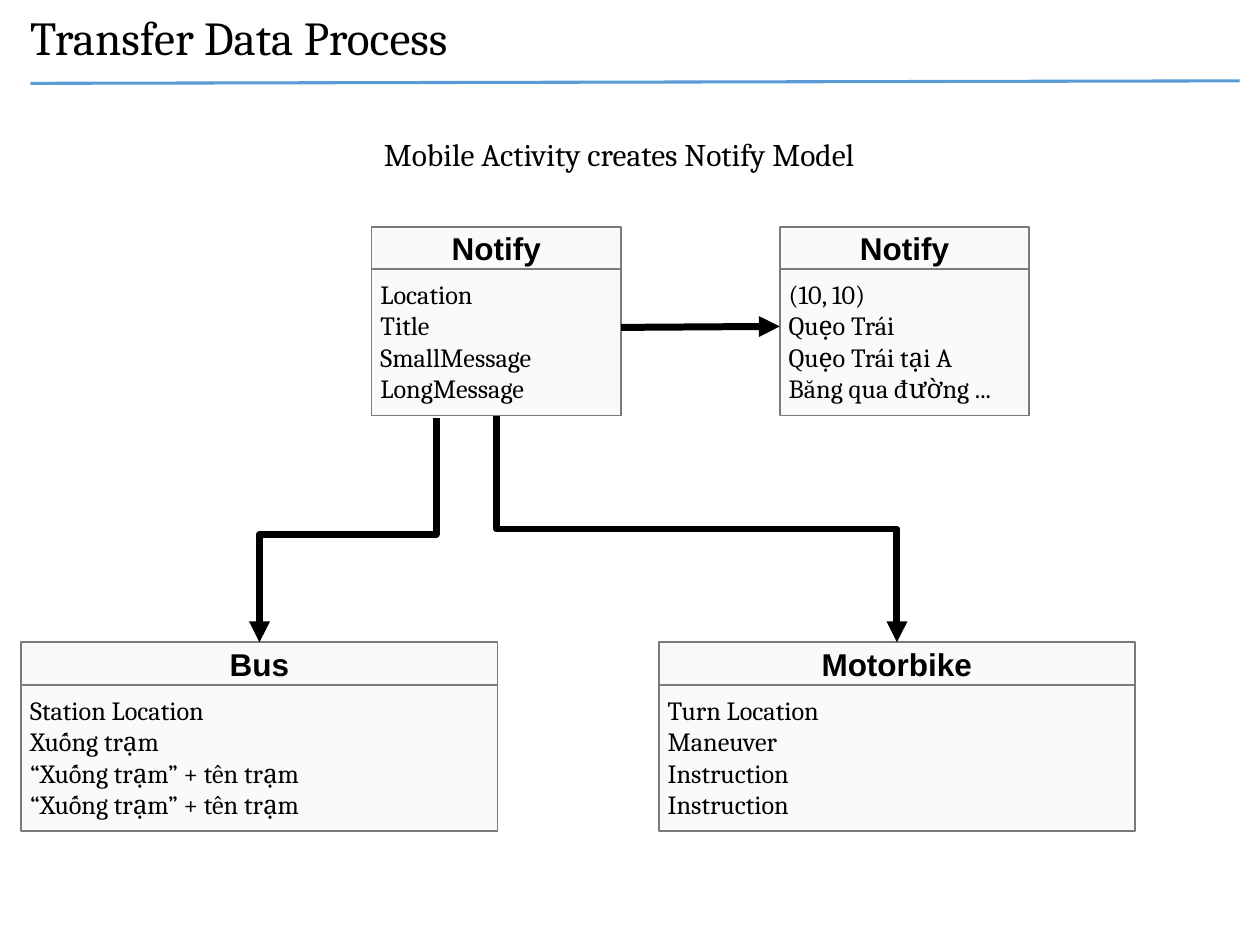
from dataclasses import dataclass

from lxml.etree import SubElement
from pptx import Presentation
from pptx.dml.color import RGBColor
from pptx.enum.shapes import MSO_CONNECTOR as Link, MSO_SHAPE as Shape
from pptx.enum.text import MSO_ANCHOR as Anchor, PP_ALIGN as Align
from pptx.oxml.ns import qn
from pptx.util import Cm, Pt

COLOURS = {"ink": "000000", "rule": "5B9BD5", "panel": "FAFAFA", "edge": "7A7A7A"}
HEADER_HEIGHT, BODY_HEIGHT = 0.86, 2.95
INSETS = {f"margin_{side}": Cm(0.18) for side in ("left", "top", "right", "bottom")}

TITLE = {"font": {"name": "Cambria", "size": Pt(27)}, "para": {"line_spacing": 0.9},
         "frame": {"word_wrap": True, "vertical_anchor": Anchor.MIDDLE}}
CAPTION = {"font": {"name": "Cambria", "size": Pt(18)}, "para": {},
           "frame": {"word_wrap": False}}
HEADER = {"font": {"name": "Arial", "size": Pt(18), "bold": True},
          "para": {"alignment": Align.CENTER},
          "frame": {"word_wrap": True, "vertical_anchor": Anchor.MIDDLE, **INSETS}}
BODY = {"font": {"name": "Cambria", "size": Pt(15)},
        "para": {"alignment": Align.LEFT},
        "frame": {"word_wrap": True, "vertical_anchor": Anchor.TOP, **INSETS}}


@dataclass(frozen=True)
class Card:
    """A model box with a name and its fields, in centimetres."""
    name: str
    fields: tuple[str, ...]
    left: float
    top: float
    width: float

    @property
    def right(self) -> float:
        return self.left + self.width

    @property
    def middle(self) -> float:
        return self.left + self.width / 2

    @property
    def bottom(self) -> float:
        return self.top + HEADER_HEIGHT + BODY_HEIGHT


NOTIFY = Card("Notify", ("Location", "Title", "SmallMessage", "LongMessage"), 7.49, 4.57, 5.03)
EXAMPLE = Card("Notify", ("(10, 10)", "Quẹo Trái", "Quẹo Trái tại A", "Băng qua đường ..."),
               15.72, 4.57, 5.03)
BUS = Card("Bus", ("Station Location", "Xuống trạm", "“Xuống trạm” + tên trạm",
                   "“Xuống trạm” + tên trạm"), 0.43, 12.95, 9.6)
MOTORBIKE = Card("Motorbike", ("Turn Location", "Maneuver", "Instruction", "Instruction"),
                 13.28, 12.95, 9.6)


def colour(name: str) -> RGBColor:
    """Look up a named colour."""
    return RGBColor.from_string(COLOURS[name])


def apply(target, values: dict) -> None:
    """Set each attribute in values on the target."""
    for name, value in values.items():
        setattr(target, name, value)


def write(frame, lines: tuple[str, ...], style: dict) -> None:
    """Fill a text frame with one paragraph per line."""
    apply(frame, style["frame"])
    for index, line in enumerate(lines):
        para = frame.add_paragraph() if index else frame.paragraphs[0]
        apply(para, style["para"])
        span = para.add_run()
        span.text = line
        apply(span.font, style["font"])
        span.font.color.rgb = colour("ink")


def add_text(page, text: str, area: tuple[float, ...], style: dict) -> None:
    """Place a one-line text box."""
    box = page.shapes.add_textbox(*map(Cm, area))
    write(box.text_frame, (text,), style)


def add_card(page, card: Card) -> None:
    """Draw a card as a group of a body and a header."""
    group = page.shapes.add_group_shape()
    parts = ((card.top + HEADER_HEIGHT, BODY_HEIGHT, card.fields, BODY),
             (card.top, HEADER_HEIGHT, (card.name,), HEADER))
    for top, height, lines, style in parts:
        box = group.shapes.add_shape(Shape.RECTANGLE, Cm(card.left), Cm(top),
                                     Cm(card.width), Cm(height))
        box.shadow.inherit = False
        box.fill.solid()
        box.fill.fore_color.rgb = colour("panel")
        box.line.color.rgb = colour("edge")
        box.line.width = Pt(1)
        write(box.text_frame, lines, style)


def add_line(page, ends: tuple[float, ...], tint: str, width: float,
             arrow: bool = False, kind=Link.STRAIGHT):
    """Draw a connector, with an arrowhead when asked."""
    line = page.shapes.add_connector(kind, *map(Cm, ends))
    line.line.color.rgb = colour(tint)
    line.line.width = Pt(width)
    properties = line._element.spPr
    if arrow:
        SubElement(properties.find(qn("a:ln")), qn("a:tailEnd"), type="triangle")
    SubElement(properties, qn("a:effectLst"))
    return line


def add_drop(page, start: tuple[float, float], card: Card, bend: int = 50000) -> None:
    """Draw an elbow arrow going down to the top of a card."""
    x, y = start
    drop, shift = card.top - y, abs(card.middle - x)
    left = (x + card.middle - drop) / 2
    top = (y + card.top - shift) / 2
    elbow = add_line(page, (left, top, left + drop, top + shift), "ink", 4, True, Link.ELBOW)
    properties = elbow._element.spPr
    turn = {"rot": "5400000"} if card.middle < x else {"rot": "16200000", "flipH": "1"}
    for name, value in turn.items():
        properties.find(qn("a:xfrm")).set(name, value)
    guides = properties.find(qn("a:prstGeom")).find(qn("a:avLst"))
    SubElement(guides, qn("a:gd"), name="adj1", fmla=f"val {bend}")


def main() -> None:
    """Build the slide and save it."""
    deck = Presentation()
    apply(deck, {"slide_width": Cm(25.4), "slide_height": Cm(19.05)})
    page = deck.slides.add_slide(deck.slide_layouts[6])
    add_text(page, "Transfer Data Process", (0.36, 0, 21.89, 1.63), TITLE)
    add_line(page, (0.61, 1.68, 24.99, 1.63), "rule", 1.75)
    add_text(page, "Mobile Activity creates Notify Model", (7.49, 2.59, 10.59, 1.02), CAPTION)
    for card in (NOTIFY, EXAMPLE, BUS, MOTORBIKE):
        add_card(page, card)
    add_line(page, (NOTIFY.right, 6.6, EXAMPLE.left, 6.58), "ink", 4, True)
    add_drop(page, (8.79, 8.43), BUS, 51700)
    add_drop(page, (NOTIFY.middle, NOTIFY.bottom), MOTORBIKE)
    deck.save("out.pptx")


if __name__ == "__main__":
    main()
